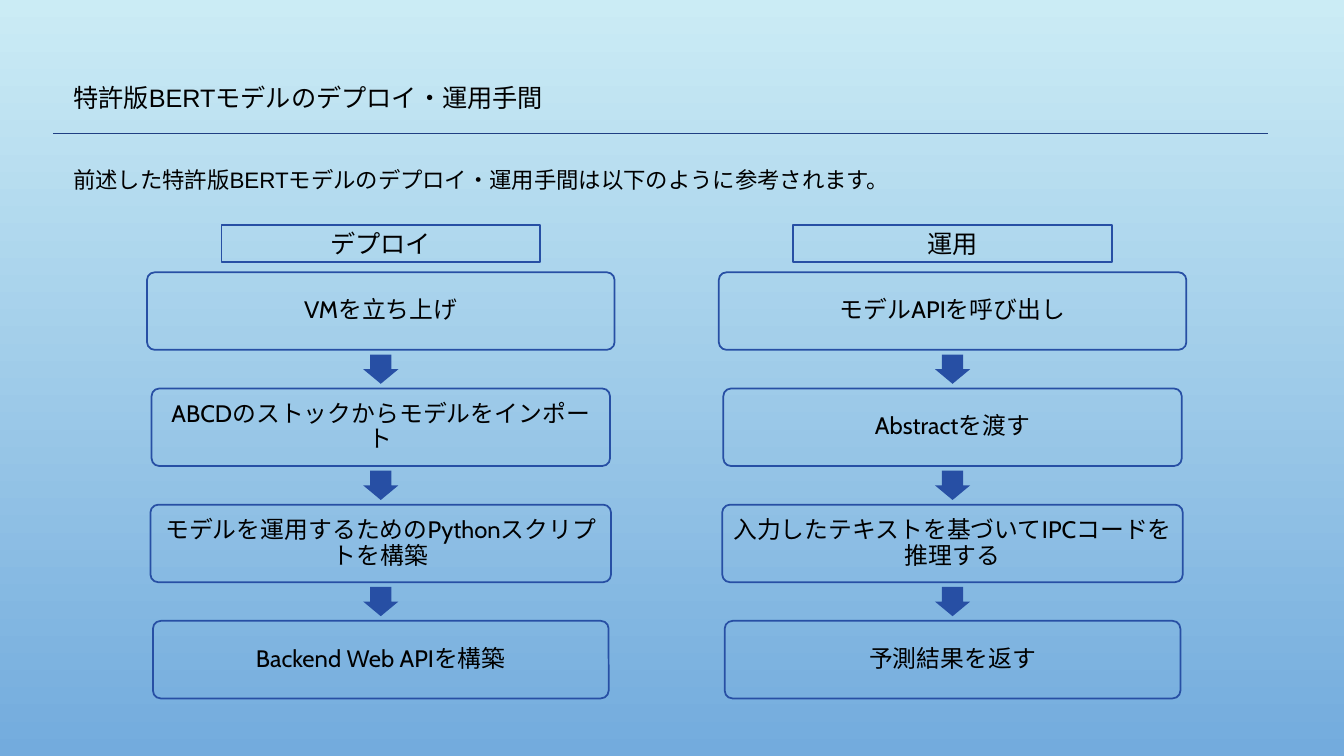
from lxml import etree
from pptx import Presentation
from pptx.dml.color import RGBColor
from pptx.enum.shapes import MSO_CONNECTOR, MSO_SHAPE
from pptx.enum.text import MSO_ANCHOR, PP_ALIGN
from pptx.oxml.ns import qn
from pptx.util import Pt

SKY = RGBColor(0xCB, 0xEC, 0xF5)
AZURE = RGBColor(0x73, 0xAB, 0xDD)
NAVY = RGBColor(0x1F, 0x3F, 0x83)
BLUE = RGBColor(0x27, 0x4F, 0xA4)
BLACK = RGBColor(0, 0, 0)

RECT = MSO_SHAPE.RECTANGLE
ROUNDED = MSO_SHAPE.ROUNDED_RECTANGLE
DOWN_ARROW = MSO_SHAPE.DOWN_ARROW
STRAIGHT = MSO_CONNECTOR.STRAIGHT
CENTER, LEFT = PP_ALIGN.CENTER, PP_ALIGN.LEFT
MIDDLE, TOP = MSO_ANCHOR.MIDDLE, MSO_ANCHOR.TOP

CAPTION_WIDTH, CAPTION_HEIGHT = 227.5, 26.6
STEP_WIDTHS = (334, 327.5, 329, 325.5)
STEP_HEIGHT, STEP_PITCH, STEP_OFFSET = 55.4, 83, 34
ARROW_WIDTH, ARROW_HEIGHT = 25.2, 20.9

FLOWS = (
    (105, "デプロイ", (
        "VMを立ち上げ",
        "ABCDのストックからモデルをインポート",
        "モデルを運用するためのPythonスクリプトを構築",
        "Backend Web APIを構築",
    )),
    (513.4, "運用", (
        "モデルAPIを呼び出し",
        "Abstractを渡す",
        "入力したテキストを基づいてIPCコードを推理する",
        "予測結果を返す",
    )),
)


def write_text(shape, text, size, font="Cabin", align=CENTER, anchor=MIDDLE,
               spacing=None, inset=None):
    frame = shape.text_frame
    frame.word_wrap = True
    frame.vertical_anchor = anchor
    if inset is not None:
        frame.margin_left = frame.margin_right = Pt(inset)
        frame.margin_top = frame.margin_bottom = Pt(inset)
    para = frame.paragraphs[0]
    para.alignment = align
    if spacing is not None:
        para.line_spacing = spacing
    span = para.add_run()
    span.text = text
    span.font.name = font
    span.font.size = Pt(size)
    span.font.color.rgb = BLACK


def add_figure(page, kind, center, top, width, height, filled=False):
    shape = page.shapes.add_shape(
        kind, Pt(center - width / 2), Pt(top), Pt(width), Pt(height))
    shape.shadow.inherit = False
    if filled:
        shape.fill.solid()
        shape.fill.fore_color.rgb = BLUE
        shape.line.fill.background()
    else:
        shape.fill.background()
        shape.line.color.rgb = BLUE
        shape.line.width = Pt(1.25)
    return shape


def paint_background(page):
    fill = page.background.fill
    fill.gradient()
    fill.gradient_angle = 270
    for stop, color in zip(fill.gradient_stops, (SKY, AZURE)):
        stop.color.rgb = color


def add_heading(page, left, top, width):
    title = page.shapes.add_textbox(Pt(left + 7), Pt(top), Pt(width - 60), Pt(29))
    write_text(title, "特許版BERTモデルのデプロイ・運用手間", 18, "Arial", LEFT, TOP)
    rule = page.shapes.add_connector(
        STRAIGHT, Pt(left), Pt(top + 40.3), Pt(left + width), Pt(top + 40.3))
    rule.line.color.rgb = NAVY
    rule.line.width = Pt(0.75)
    etree.SubElement(rule._element.spPr, qn("a:effectLst"))
    intro = page.shapes.add_textbox(
        Pt(left + 7), Pt(top + 59.8), Pt(width - 33), Pt(26.6))
    write_text(intro, "前述した特許版BERTモデルのデプロイ・運用手間は以下のように参考されます。",
               16, "Arial", LEFT, TOP)


def add_flow(page, left, top, width, caption, steps):
    center = left + width / 2
    header = add_figure(page, RECT, center, top, CAPTION_WIDTH, CAPTION_HEIGHT)
    write_text(header, caption, 18)
    arrow_shift = (STEP_HEIGHT + STEP_PITCH - ARROW_HEIGHT) / 2
    for index, (step, step_width) in enumerate(zip(steps, STEP_WIDTHS)):
        step_top = top + STEP_OFFSET + index * STEP_PITCH
        box = add_figure(page, ROUNDED, center, step_top, step_width, STEP_HEIGHT)
        box.adjustments[0] = 0.1
        write_text(box, step, 17, spacing=0.9, inset=5.5)
        if index < len(steps) - 1:
            arrow = add_figure(page, DOWN_ARROW, center, step_top + arrow_shift,
                               ARROW_WIDTH, ARROW_HEIGHT, filled=True)
            arrow.adjustments[0] = 0.6
            arrow.adjustments[1] = 0.5


def main():
    deck = Presentation()
    deck.slide_width, deck.slide_height = Pt(960), Pt(540)
    page = deck.slides.add_slide(deck.slide_layouts[6])
    paint_background(page)
    add_heading(page, 38.2, 55.4, 867.6)
    for left, caption, steps in FLOWS:
        add_flow(page, left, 160.5, 334, caption, steps)
    deck.save("out.pptx")


if __name__ == "__main__":
    main()
